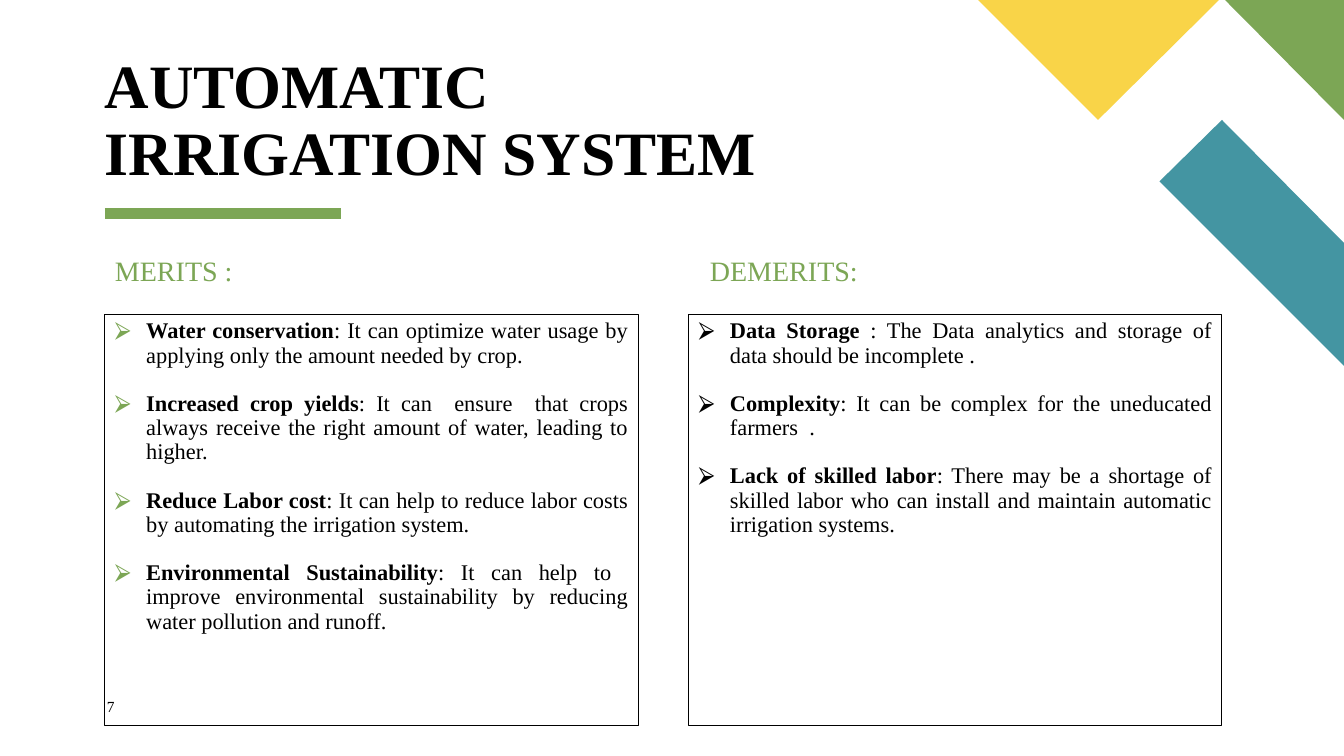
from dataclasses import dataclass

from lxml.etree import SubElement as Sub
from pptx import Presentation
from pptx.dml.color import RGBColor as RGB
from pptx.enum.shapes import MSO_CONNECTOR as Conn
from pptx.enum.text import MSO_ANCHOR as Anchor, MSO_AUTO_SIZE as Auto, PP_ALIGN as Align
from pptx.oxml.ns import qn
from pptx.util import Inches, Pt


@dataclass(frozen=True)
class Theme:
    face: str = "Times New Roman"
    black: str = "000000"
    green: str = "7CA655"
    teal: str = "4495A2"
    gold: str = "F9D448"
    title: int = 44
    head: int = 20
    body: int = 16
    page: int = 11
    gap: float = 17.3


THEME = Theme()

MERITS = [
    ("Water conservation", ": It can optimize water usage by applying only the amount needed by crop."),
    ("Increased crop yields", ": It can  ensure  that crops always receive the right amount of water, leading to higher."),
    ("Reduce Labor cost", ": It can help to reduce labor costs by automating the irrigation system."),
    ("Environmental Sustainability", ": It can help to  improve environmental sustainability by reducing water pollution and runoff."),
]
DEMERITS = [
    ("Data Storage ", ": The Data analytics and storage of data should be incomplete ."),
    ("Complexity", ": It can be complex for the uneducated farmers  ."),
    ("Lack of skilled labor", ": There may be a shortage of skilled labor who can install and maintain automatic irrigation systems."),
]
BANDS = [
    (THEME.teal, [(12.12, 1.19), (13.33, 2.41), (13.33, 3.63), (11.5, 1.8)]),
    (THEME.green, [(12.15, 0), (13.33, 0), (13.33, 1.19)]),
    (THEME.gold, [(9.7, 0), (12.09, 0), (10.89, 1.19)]),
]


def place(shape, left, top, width, height):
    shape.left, shape.top = Inches(left), Inches(top)
    shape.width, shape.height = Inches(width), Inches(height)


def set_frame(shape, anchor=Anchor.TOP, inset=(0, 0)):
    frame = shape.text_frame
    frame.word_wrap = True
    frame.auto_size = Auto.NONE
    frame.vertical_anchor = anchor
    frame.margin_left = frame.margin_right = Inches(inset[0])
    frame.margin_top = frame.margin_bottom = Inches(inset[1])
    return frame


def style(para, size, color, bold=None, align=Align.LEFT, space=0.9):
    para.alignment = align
    para.line_spacing = space
    para.space_before = Pt(0)
    font = para.font
    font.name, font.size, font.bold = THEME.face, Pt(size), bold
    font.color.rgb = RGB.from_string(color)


def add_mark(para, color):
    props = para._p.get_or_add_pPr()
    props.set("marL", str(Inches(0.31)))
    props.set("indent", str(-Inches(0.31)))
    Sub(Sub(props, qn("a:buClr")), qn("a:srgbClr"), val=color)
    Sub(props, qn("a:buFont"), typeface=THEME.face)
    Sub(props, qn("a:buChar"), char="⮚")


def set_line(shape, text, size, color, bold=False, space=0.9, **frame):
    para = set_frame(shape, **frame).paragraphs[0]
    para.text = text
    style(para, size, color, bold, space=space)


def set_head(shape, text, left):
    place(shape, left, 2.5, 5.29, 0.35)
    set_line(shape, text, THEME.head, THEME.green, inset=(0.1, 0.05))


def set_list(shape, items, left, mark):
    place(shape, left, 3.12, 5.29, 4.08)
    shape.line.color.rgb = RGB.from_string(THEME.black)
    shape.line.width = Pt(0.75)
    frame = set_frame(shape, inset=(0.1, 0.05))
    for i, (name, note) in enumerate(items):
        para = frame.add_paragraph() if i else frame.paragraphs[0]
        add_mark(para, mark)
        style(para, THEME.body, THEME.black, align=Align.JUSTIFY)
        para.space_after = Pt(THEME.gap)
        for text, bold in ((name, True), (note, False)):
            run = para.add_run()
            run.text, run.font.bold = text, bold


def add_band(slide, color, points):
    spots = [(Inches(x), Inches(y)) for x, y in points]
    pen = slide.shapes.build_freeform(*spots[0])
    pen.add_line_segments(spots[1:], close=True)
    band = pen.convert_to_shape()
    band.shadow.inherit = False
    band.fill.solid()
    band.fill.fore_color.rgb = RGB.from_string(color)
    band.line.fill.background()


def add_rule(slide):
    y = Inches(2.12)
    rule = slide.shapes.add_connector(Conn.STRAIGHT, Inches(1.04), y, Inches(3.38), y)
    rule.line.color.rgb = RGB.from_string(THEME.green)
    rule.line.width = Pt(8)
    Sub(rule._element.spPr, qn("a:effectLst"))


def main():
    deck = Presentation()
    deck.slide_width, deck.slide_height = Inches(13.33), Inches(7.5)
    # The comparison layout holds a title, two headings and two lists
    slide = deck.slides.add_slide(deck.slide_layouts[4])
    title, head1, list1, head2, list2 = slide.placeholders

    # Corner bands and title rule
    for color, points in BANDS:
        add_band(slide, color, points)
    add_rule(slide)

    # Title
    place(title, 1.04, 1.2, 7.58, 0.67)
    set_line(title, "AUTOMATIC IRRIGATION SYSTEM", THEME.title, THEME.black,
             bold=True, anchor=Anchor.BOTTOM)

    # Two columns
    set_head(head1, "MERITS :", 1.04)
    set_list(list1, MERITS, 1.04, THEME.green)
    set_head(head2, "DEMERITS:", 6.94)
    set_list(list2, DEMERITS, 6.83, THEME.black)

    # Page number
    page = slide.shapes.add_textbox(Inches(1.06), Inches(6.92), Inches(0.57), Inches(0.27))
    set_line(page, "7", THEME.page, THEME.black, space=1.0)

    deck.save("out.pptx")


if __name__ == "__main__":
    main()
